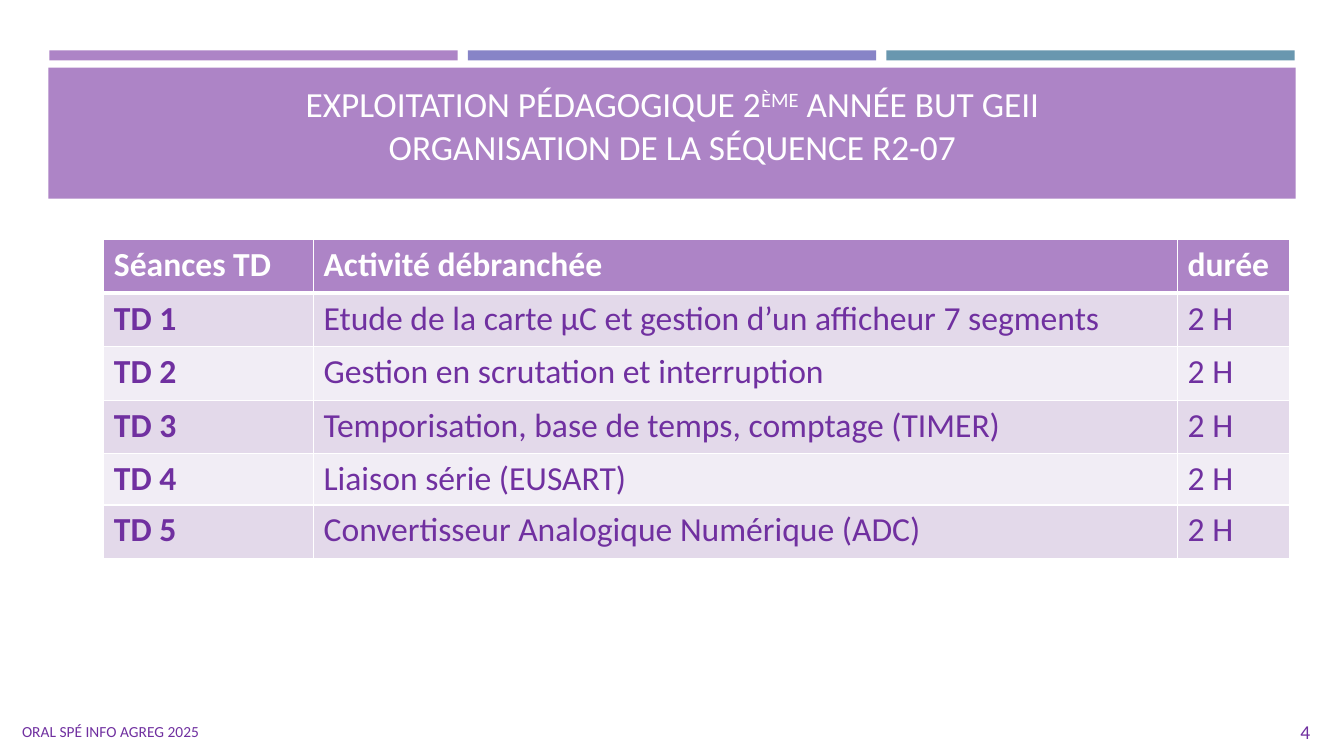
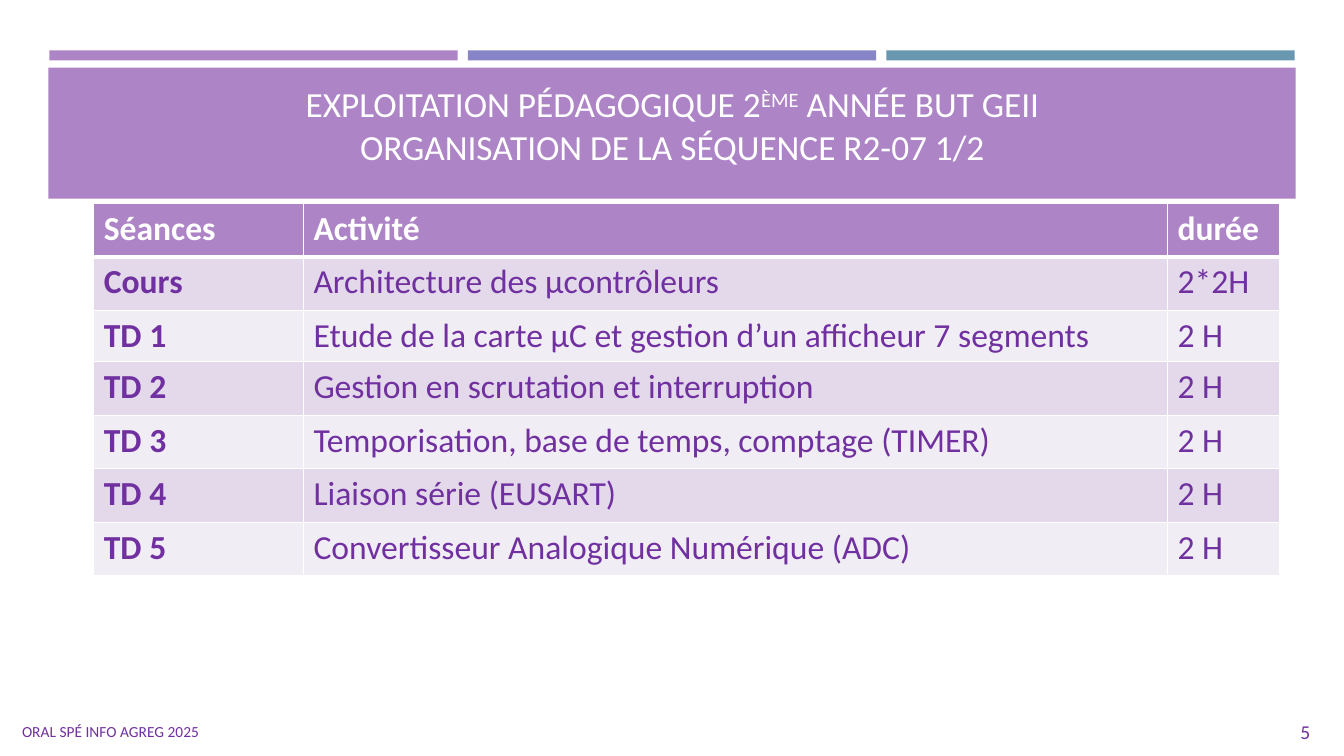
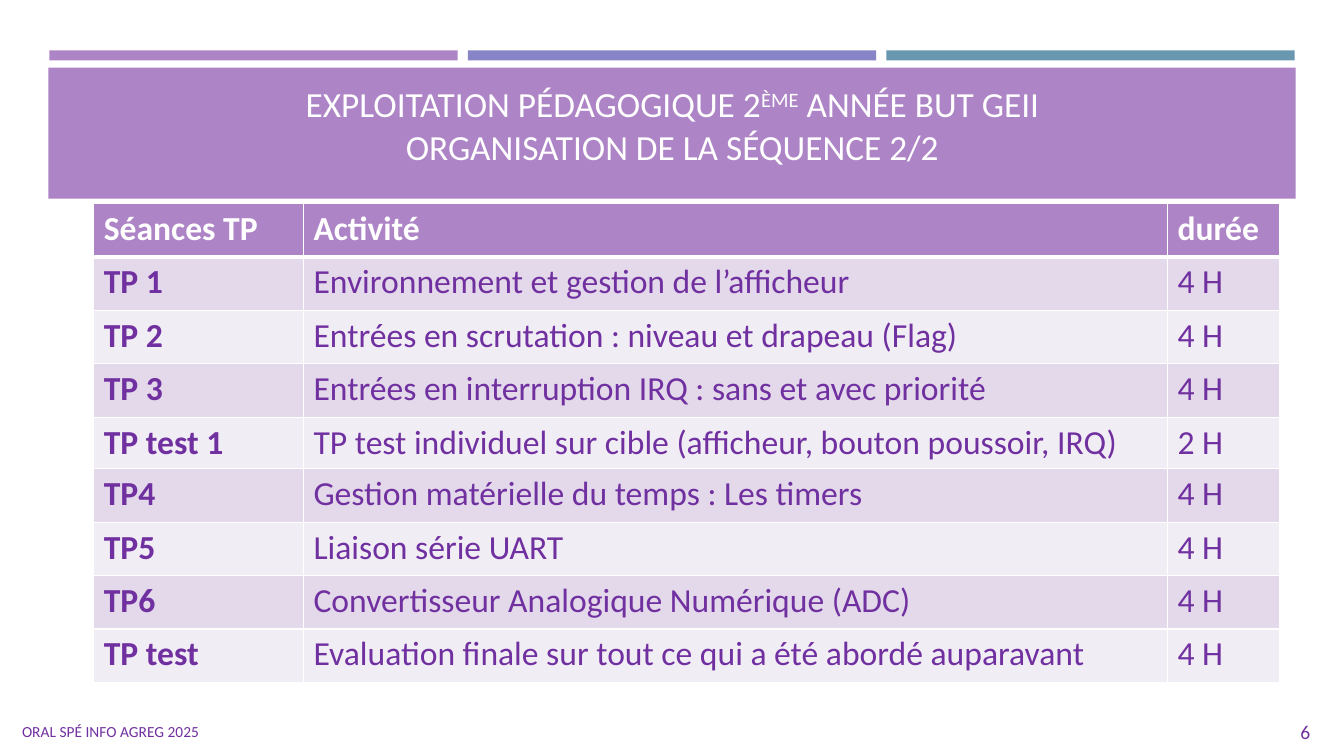
"""Build three slides that present the teaching sequence as tables of sessions."""
import pptx
import pptx.dml.color
import pptx.enum.shapes
import pptx.enum.text
import pptx.oxml.ns
import pptx.util
from lxml import etree
from dataclasses import dataclass

Inches = pptx.util.Inches
Pt = pptx.util.Pt
RGB = pptx.dml.color.RGBColor.from_string
ALIGN = pptx.enum.text.PP_ALIGN
ANCHOR = pptx.enum.text.MSO_ANCHOR
qn = pptx.oxml.ns.qn


@dataclass(frozen=True)
class Theme:
    font: str = "Calibri"
    purple: str = "AD84C6"
    indigo: str = "8784C7"
    teal: str = "6997AF"
    text: str = "7030A0"
    white: str = "FFFFFF"
    rows: tuple = ("E3D9EA", "F1EDF5")
    title_size: float = 25.2
    table_size: float = 24
    number_size: float = 14
    footer_size: float = 11


T = Theme()
FOOTER = "ORAL SPÉ INFO AGREG 2025"
FIRST_NUMBER = 4
COL_WIDTHS = (2.08, 8.57, 1.11)
ROW_H, SHORT_ROW_H = 0.53, 0.51
BAR_LEFT, BAR_W, BAR_GAP = 0.49, 4.05, 0.1

TD_ROWS = [
    ("TD 1", "Etude de la carte µC et gestion d’un afficheur 7 segments", "2 H"),
    ("TD 2", "Gestion en scrutation et interruption", "2 H"),
    ("TD 3", "Temporisation, base de temps, comptage (TIMER)", "2 H"),
    ("TD 4", "Liaison série (EUSART)", "2 H"),
    ("TD 5", "Convertisseur Analogique Numérique (ADC)", "2 H"),
]
TP_ROWS = [
    ("TP 1", "Environnement et gestion de l’afficheur", "4 H"),
    ("TP 2", "Entrées en scrutation : niveau et drapeau (Flag)", "4 H"),
    ("TP 3", "Entrées en interruption IRQ : sans et avec priorité", "4 H"),
    ("TP test 1", "TP test individuel sur cible (afficheur, bouton poussoir, IRQ)", "2 H"),
    ("TP4", "Gestion matérielle du temps : Les timers", "4 H"),
    ("TP5", "Liaison série UART", "4 H"),
    ("TP6", "Convertisseur Analogique Numérique (ADC)", "4 H"),
    ("TP test", "Evaluation finale sur tout ce qui a été abordé auparavant", "4 H"),
]
SLIDES = [
    dict(subtitle="ORGANISATION DE LA SÉQUENCE R2-07", at=(1.03, 2.38), short_row=4,
         rows=[("Séances TD", "Activité débranchée", "durée")] + TD_ROWS),
    dict(subtitle="ORGANISATION DE LA SÉQUENCE R2-07 1/2", at=(0.93, 2.02), short_row=2,
         rows=[("Séances", "Activité", "durée"),
               ("Cours", "Architecture des µcontrôleurs", "2*2H")] + TD_ROWS),
    dict(subtitle="ORGANISATION DE LA SÉQUENCE 2/2", at=(0.93, 2.02), short_row=4,
         rows=[("Séances TP", "Activité", "durée")] + TP_ROWS),
]


def add_run(p, text, size, color, bold=False):
    r = p.add_run()
    r.text = text
    r.font.name = T.font
    r.font.size = Pt(size)
    r.font.bold = bold
    r.font.color.rgb = RGB(color)
    return r


def add_band(s, left, top, width, height, color):
    sp = s.shapes.add_shape(pptx.enum.shapes.MSO_SHAPE.RECTANGLE,
                            Inches(left), Inches(top), Inches(width), Inches(height))
    sp.shadow.inherit = False
    sp.fill.solid()
    sp.fill.fore_color.rgb = RGB(color)
    sp.line.fill.background()


def add_text_box(s, left, top, width, height, anchor):
    tf = s.shapes.add_textbox(Inches(left), Inches(top), Inches(width), Inches(height)).text_frame
    tf.word_wrap = True
    tf.vertical_anchor = anchor
    return tf.paragraphs[0]


def add_frame(s, subtitle, number):
    for i, color in enumerate((T.purple, T.indigo, T.teal)):
        add_band(s, BAR_LEFT + i * (BAR_W + BAR_GAP), 0.5, BAR_W, 0.1, color)
    add_band(s, 0.48, 0.67, 12.37, 1.3, T.purple)

    p = add_text_box(s, 0.64, 0.75, 12.06, 0.96, ANCHOR.BOTTOM)
    p.alignment = ALIGN.CENTER
    add_run(p, "EXPLOITATION PÉDAGOGIQUE 2", T.title_size, T.white)
    r = add_run(p, "ÈME", T.title_size, T.white)
    r.font._element.set("baseline", "30000")
    add_run(p, " ANNÉE BUT GEII", T.title_size, T.white)
    p.add_line_break()
    add_run(p, subtitle, T.title_size, T.white)

    for left, width, text, size in ((0.12, 2.21, FOOTER, T.footer_size),
                                    (12.8, 0.49, str(number), T.number_size)):
        p = add_text_box(s, left, 7.06, width, 0.4, ANCHOR.MIDDLE)
        p.space_after = Pt(6)
        add_run(p, text, size, T.text)


def set_borders(cell, top, bottom):
    tc_pr = cell._tc.get_or_add_tcPr()
    for side, width in (("L", 1), ("R", 1), ("T", top), ("B", bottom)):
        ln = etree.SubElement(tc_pr, qn(f"a:ln{side}"), w=str(Pt(width)))
        fill = etree.SubElement(ln, qn("a:solidFill"))
        etree.SubElement(fill, qn("a:srgbClr"), val=T.white)


def add_session_table(s, rows, at, short_row):
    heights = [SHORT_ROW_H if i == short_row else ROW_H for i in range(len(rows))]
    left, top = at
    table = s.shapes.add_table(len(rows), len(COL_WIDTHS), Inches(left), Inches(top),
                               Inches(sum(COL_WIDTHS)), Inches(sum(heights))).table
    for col, width in zip(table.columns, COL_WIDTHS):
        col.width = Inches(width)
    for i, (values, height) in enumerate(zip(rows, heights)):
        table.rows[i].height = Inches(height)
        header = i == 0
        fill = T.purple if header else T.rows[(i - 1) % 2]
        for j, value in enumerate(values):
            cell = table.cell(i, j)
            set_borders(cell, 3 if i == 1 else 1, 3 if header else 1)
            cell.fill.solid()
            cell.fill.fore_color.rgb = RGB(fill)
            add_run(cell.text_frame.paragraphs[0], value, T.table_size,
                    T.white if header else T.text, header or j == 0)


def main():
    prs = pptx.Presentation()
    prs.slide_width, prs.slide_height = Inches(13.33), Inches(7.5)
    for number, content in enumerate(SLIDES, FIRST_NUMBER):
        s = prs.slides.add_slide(prs.slide_layouts[6])
        add_frame(s, content["subtitle"], number)
        add_session_table(s, content["rows"], content["at"], content["short_row"])
    prs.save("out.pptx")


if __name__ == "__main__":
    main()
